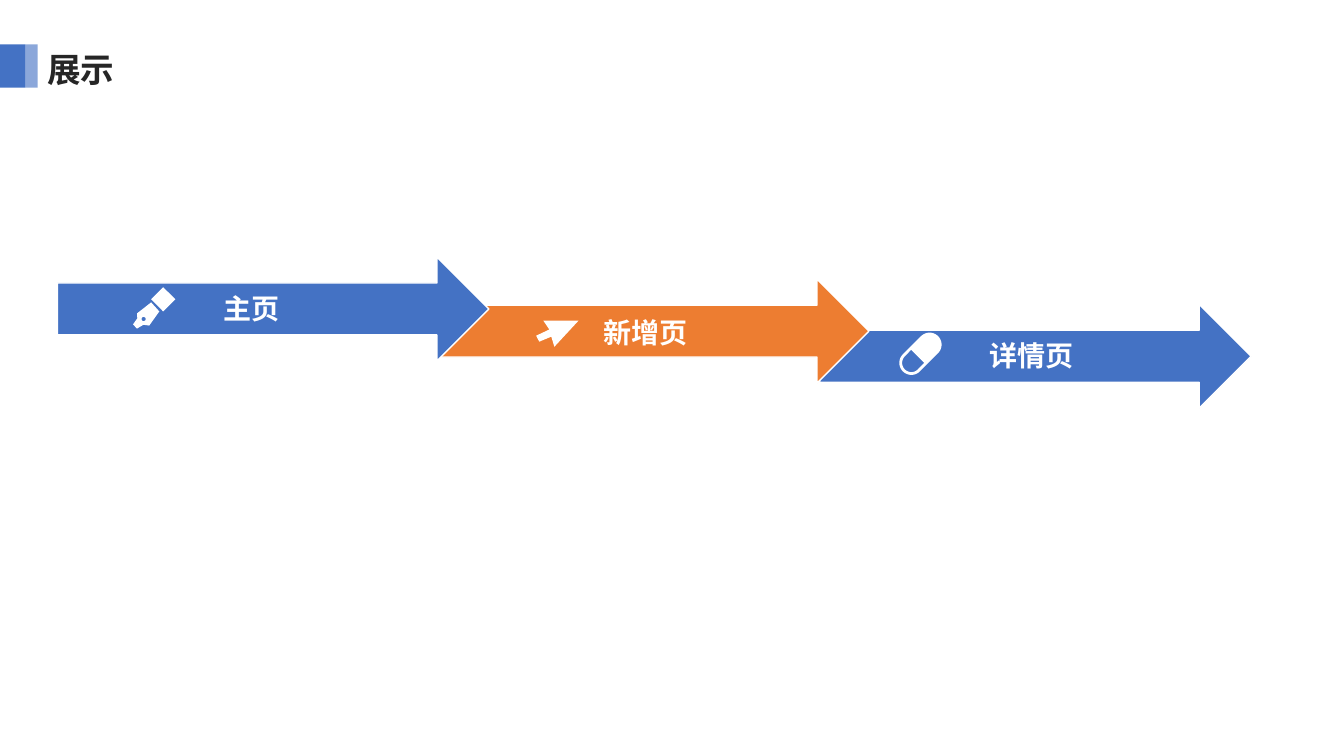
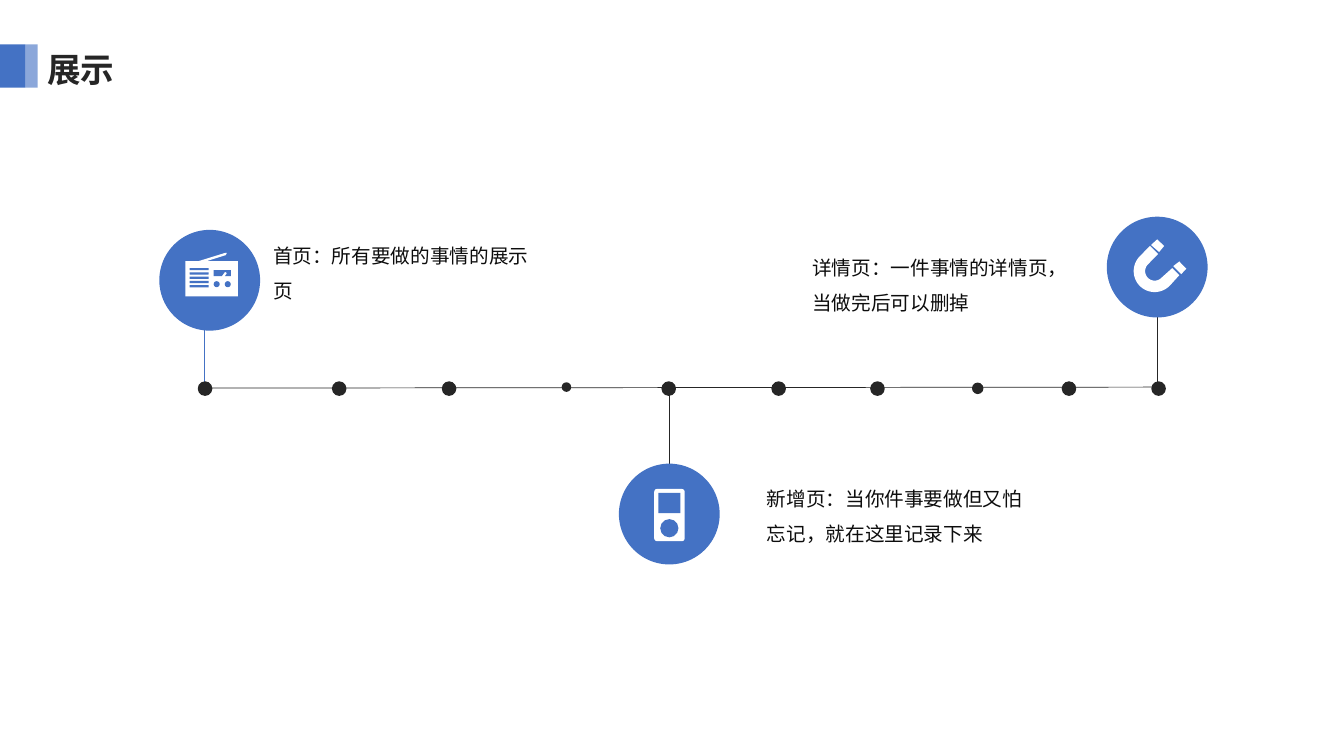
from math import cos, radians, sin

from lxml import etree
from pptx import Presentation
from pptx.dml.color import RGBColor
from pptx.enum.shapes import MSO_CONNECTOR, MSO_SHAPE
from pptx.enum.text import MSO_ANCHOR, MSO_AUTO_SIZE, PP_ALIGN
from pptx.oxml.ns import qn
from pptx.util import Pt

RECT, OVAL = MSO_SHAPE.RECTANGLE, MSO_SHAPE.OVAL
ROUND, ARROW = MSO_SHAPE.ROUNDED_RECTANGLE, MSO_SHAPE.RIGHT_ARROW
STRAIGHT = MSO_CONNECTOR.STRAIGHT
TOP, LEFT = MSO_ANCHOR.TOP, PP_ALIGN.LEFT
FIT, FIXED = MSO_AUTO_SIZE.SHAPE_TO_FIT_TEXT, MSO_AUTO_SIZE.NONE
TITLE_ONLY = 5

COLORS = {
    "blue": "4472C4",
    "orange": "ED7D31",
    "white": "FFFFFF",
    "title": "262626",
    "ink": "262626",
    "body": "0D0D0D",
}
SANS, LATIN = "Noto Sans CJK SC", "Calibri"


def rgb(name):
    return RGBColor.from_string(COLORS[name])


# Basic elements
def paint(shape, fill, line=None, alpha=None):
    shape.shadow.inherit = False
    shape.fill.solid()
    shape.fill.fore_color.rgb = rgb(fill)
    if alpha:
        color = shape._element.spPr.find(".//" + qn("a:srgbClr"))
        etree.SubElement(color, qn("a:alpha")).set("val", str(alpha * 1000))
    if line:
        shape.line.color.rgb = rgb(line)
        shape.line.width = Pt(1)
    else:
        shape.line.fill.background()


def block(slide, kind, x, y, w, h, fill, line=None, alpha=None):
    shape = slide.shapes.add_shape(kind, Pt(x), Pt(y), Pt(w), Pt(h))
    paint(shape, fill, line, alpha)
    return shape


def disc(slide, x, y, size, fill, line=None):
    """Circle around the centre x, y."""
    block(slide, OVAL, x - size / 2, y - size / 2, size, size, fill, line)


def outline(slide, *loops, fill="white"):
    """One freeform; every loop after the first adds a part or a hole."""
    loops = [[(Pt(x), Pt(y)) for x, y in loop] for loop in loops]
    pen = slide.shapes.build_freeform(*loops[0][0], scale=1.0)
    pen.add_line_segments(loops[0][1:], close=True)
    for loop in loops[1:]:
        pen.move_to(*loop[0])
        pen.add_line_segments(loop[1:], close=True)
    paint(pen.convert_to_shape(), fill)


def arc(x, y, r, start, end, steps=24):
    """Points on a circle, in degrees clockwise from the right."""
    turns = [radians(start + (end - start) * i / steps) for i in range(steps + 1)]
    return [(x + r * cos(t), y + r * sin(t)) for t in turns]


def rule(slide, x1, y1, x2, y2, color):
    line = slide.shapes.add_connector(STRAIGHT, Pt(x1), Pt(y1), Pt(x2), Pt(y2))
    line.line.color.rgb = rgb(color)
    line.line.width = Pt(0.5)
    etree.SubElement(line._element.spPr, qn("a:effectLst"))


def write(frame, text, size, color, face=SANS, bold=False, space=None):
    frame.text = text
    for para in frame.paragraphs:
        para.alignment = LEFT
        para.line_spacing = space
        for run in para.runs:
            font = run.font
            font.size, font.bold, font.name = Pt(size), bold, face
            font.color.rgb = rgb(color)
            east = etree.SubElement(run._r.get_or_add_rPr(), qn("a:ea"))
            east.set("typeface", SANS)


def label(slide, x, y, w, h, text, wrap=True, **style):
    frame = slide.shapes.add_textbox(Pt(x), Pt(y), Pt(w), Pt(h)).text_frame
    frame.word_wrap = wrap
    frame.auto_size = FIT
    write(frame, text, **style)


def new_slide(deck, text):
    """Slide with the title and the two bands at its left."""
    slide = deck.slides.add_slide(deck.slide_layouts[TITLE_ONLY])
    title = slide.shapes.title
    title.left, title.top, title.width, title.height = Pt(26.6), Pt(31), Pt(199.4), Pt(36)
    frame = title.text_frame
    frame.auto_size, frame.vertical_anchor = FIXED, TOP
    write(frame, text, 24, "title", bold=True)
    block(slide, RECT, 0, 31.7, 18, 31, "blue")
    block(slide, RECT, 18, 31.7, 9, 31, "blue", alpha=62)
    return slide


# Icons
def draw_pen(slide):
    outline(slide, [(116.6, 205.2), (108, 213.8), (116.6, 222.5), (125.3, 213.8)])
    nib = [(97.9, 223.9), (98.1, 227.4), (95, 231.8), (97.9, 234.7), (102.5, 232),
           (106.6, 232.6), (113.8, 222.5), (108, 216)]
    outline(slide, nib, arc(102.6, 227.9, 1.5, 0, 360))


def draw_mouse(slide):
    outline(slide, [(396, 247.7), (413.3, 229), (388.1, 229), (392.4, 235.4),
                    (383, 239.8), (385.2, 244.1), (393.8, 240.5)])


def draw_pill(slide):
    low, high = (651, 259.2), (664, 246.2)
    shell = arc(*low, 8.6, 225, 45) + arc(*high, 8.6, 45, -135)
    half = arc(*low, 6.6, 225, 45) + [(660.2, 259.2), (650.9, 249.8)]
    outline(slide, shell, half)


def draw_radio(slide):
    block(slide, RECT, 132.5, 186.5, 37.4, 25.2, "white")
    outline(slide, [(141.8, 186.5), (160.6, 180.7), (162, 180.7), (161.3, 182.2), (147.6, 186.5)])
    for row in range(5):
        block(slide, ROUND, 135.4, 191.5 + 3.06 * row, 13.7, 1.5, "blue")
    outline(slide, [(152.6, 193), (164.9, 193), (164.9, 197.3), (160.6, 197.3), (162, 195.6),
                    (161.6, 194.4), (160.6, 194.4), (158.4, 197.3), (152.6, 197.3)], fill="blue")
    for x in (154.8, 162.7):
        disc(slide, x, 203, 4.3, "blue")


def draw_player(slide):
    case = block(slide, ROUND, 467.3, 349.2, 21.8, 37.4, "white")
    case.adjustments[0] = 0.1
    block(slide, RECT, 470.2, 352.1, 15.8, 14.4, "blue")
    disc(slide, 478.1, 377.3, 13, "blue")


def draw_magnet(slide):
    hub = (824.8, 193.7)
    outline(slide, [(821.5, 175.7)] + arc(*hub, 15, 225, 45) + [(842.4, 196.6), (837.4, 191.5)]
            + arc(*hub, 6.8, 45, 225) + [(827.3, 181.4)])
    outline(slide, [(826.6, 171), (822.2, 175), (828, 180), (831.6, 175.7)])
    outline(slide, [(842.4, 186.8), (838.1, 190.1), (843.8, 195.8), (847.4, 192)])


# Slides
def flow_slide(deck):
    slide = new_slide(deck, "展示")
    steps = [
        (41, 183.6, "blue", draw_pen, "主页", 152.6, 204.5, 54.7),
        (312.5, 199.4, "orange", draw_mouse, "新增页", 424, 221.8, 74.9),
        (585.4, 217.4, "blue", draw_pill, "详情页", 699.8, 238.3, 74.9),
    ]
    for x, y, fill, *_ in reversed(steps):
        block(slide, ARROW, x, y, 308.2, 74.2, fill, "white")
    for *_, icon, text, x, y, w in steps:
        icon(slide)
        label(slide, x, y, w, 31.7, text, wrap=False,
              size=20, color="white", face=LATIN, bold=True)


def time_slide(deck):
    slide = new_slide(deck, "展示")
    # Stems, badges and their notes
    stops = [
        (146.2, 227.5, "blue", 149.8, 200.2, draw_radio,
         "首页：所有要做的事情的展示页", 188, 162, 201.6),
        (478, 280.8, "ink", 478.1, 367.2, draw_player,
         "新增页：当你件事要做但又怕忘记，就在这里记录下来", 540.7, 335.5, 197.3),
        (826.6, 221, "ink", 826.6, 190.8, draw_magnet,
         "详情页：一件事情的详情页，当做完后可以删掉", 573.1, 170.6, 197.3),
    ]
    for stem, top, color, x, y, icon, text, left, head, w in stops:
        rule(slide, stem, top, stem, top + 54, color)
        disc(slide, x, y, 72, "blue")
        icon(slide)
        label(slide, left, head, w, 58.3, text, size=14, color="body", space=1.5)
    # Time line with large and small dots
    rule(slide, 141.8, 277.2, 830.2, 276.5, "ink")
    for x in (146.5, 242.3, 320.8, 477.7, 556.2, 626.8, 763.6, 827.6):
        disc(slide, x, 277.6, 9.4, "ink", "ink")
    disc(slide, 404.6, 276.5, 5.8, "ink", "ink")
    disc(slide, 698.4, 277.4, 7.2, "ink", "ink")


def main():
    deck = Presentation()
    deck.slide_width, deck.slide_height = Pt(960), Pt(540)
    flow_slide(deck)
    time_slide(deck)
    deck.save("out.pptx")


if __name__ == "__main__":
    main()
